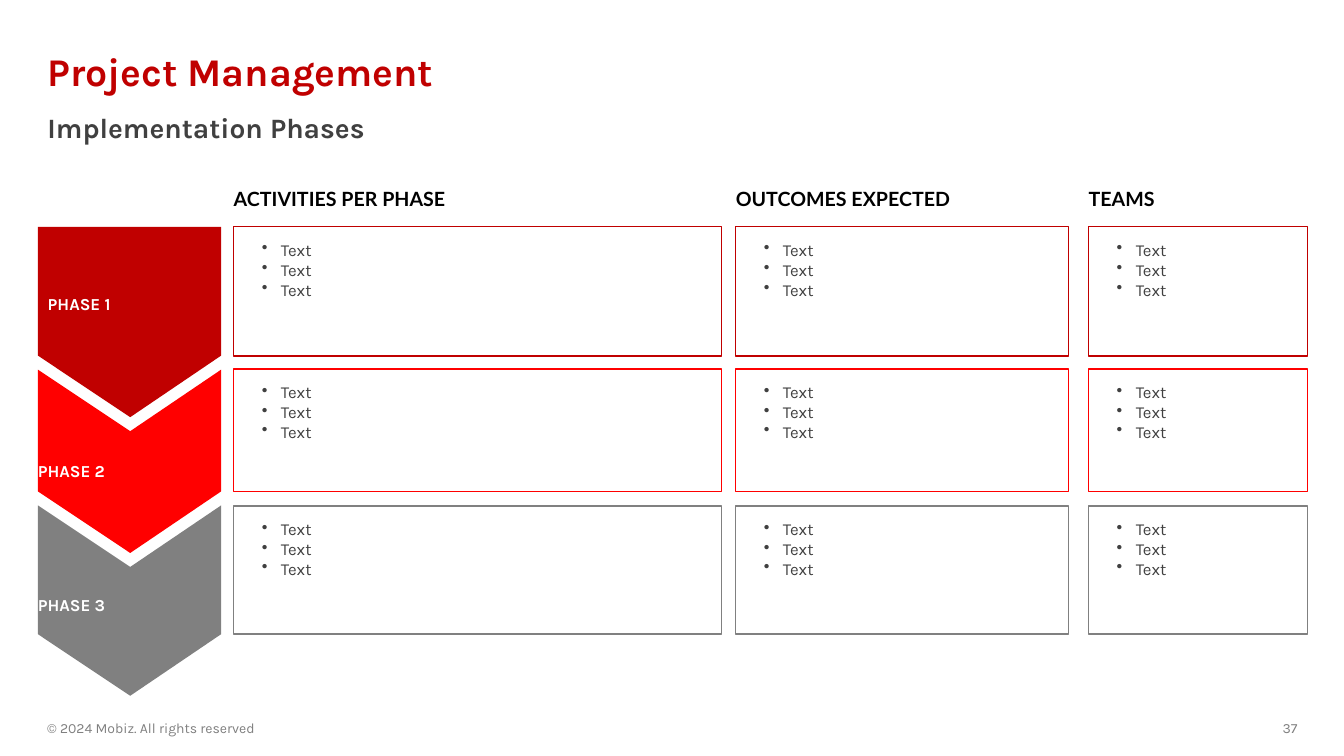
from lxml import etree
from pptx import Presentation
from pptx.dml.color import RGBColor
from pptx.enum.shapes import MSO_SHAPE
from pptx.enum.text import MSO_ANCHOR, MSO_AUTO_SIZE, PP_ALIGN
from pptx.oxml.ns import qn
from pptx.util import Pt

RECTANGLE = MSO_SHAPE.RECTANGLE
TOP, MIDDLE, BOTTOM = MSO_ANCHOR.TOP, MSO_ANCHOR.MIDDLE, MSO_ANCHOR.BOTTOM
LEFT, RIGHT = PP_ALIGN.LEFT, PP_ALIGN.RIGHT
NO_FIT = MSO_AUTO_SIZE.NONE

DARK_RED = RGBColor(0xC0, 0x00, 0x00)
RED = RGBColor(0xFF, 0x00, 0x00)
GRAY = RGBColor(0x80, 0x80, 0x80)
CHARCOAL = RGBColor(0x40, 0x40, 0x40)
BLACK = RGBColor(0x00, 0x00, 0x00)
WHITE = RGBColor(0xFF, 0xFF, 0xFF)

MARGIN = 26.64
CONTENT_WIDTH = 907.2
CHEVRON_WIDTH = 131.8
CHEVRON_DROP = 44
HEADING_TOP, HEADING_HEIGHT = 125.3, 31
DEFAULT_INSETS = (7.2, 3.6, 7.2, 3.6)

# Heading, left, width
COLUMNS = [
    ("ACTIVITIES PER PHASE", 167, 348.5),
    ("OUTCOMES EXPECTED", 525.6, 237.6),
    ("TEAMS", 777.6, 156.2),
]
# Label, colour, top, height, label insets
PHASES = [
    ("PHASE 1", DARK_RED, 162, 92.2, (7.2, 0, 0, 24)),
    ("PHASE 2", RED, 263.5, 87.8, (0, 16.5, 0, 0)),
    ("PHASE 3", GRAY, 361.4, 91.4, (0, 8.6, 0, 0)),
]
ACTIVITY_LINES = ["Text", "Text", "Text"]


def set_frame(frame, anchor, insets=DEFAULT_INSETS):
    frame.word_wrap = True
    frame.auto_size = NO_FIT
    frame.vertical_anchor = anchor
    (frame.margin_left, frame.margin_top,
     frame.margin_right, frame.margin_bottom) = map(Pt, insets)


def format_paragraph(para, size, color, bold=False, name="Karla",
                     align=LEFT, spacing=1.0):
    para.alignment = align
    para.line_spacing = spacing
    font = para.font
    font.name, font.size, font.bold = name, Pt(size), bold
    font.color.rgb = color


def set_bullet(para, char=None, indent=0.0):
    properties = para._p.get_or_add_pPr()
    properties.set("marL", str(Pt(indent)))
    properties.set("indent", str(-Pt(indent)))
    if char:
        etree.SubElement(properties, qn("a:buChar")).set("char", char)
    else:
        etree.SubElement(properties, qn("a:buNone"))


def place(shape, left, top, width, height):
    shape.left, shape.top = Pt(left), Pt(top)
    shape.width, shape.height = Pt(width), Pt(height)


def add_text(page, text, left, top, width, height, anchor, insets, **style):
    box = page.shapes.add_textbox(Pt(left), Pt(top), Pt(width), Pt(height))
    set_frame(box.text_frame, anchor, insets)
    para = box.text_frame.paragraphs[0]
    para.text = text
    format_paragraph(para, **style)


def add_header(page, left, top, width):
    title, subtitle = page.shapes.title, page.placeholders[1]
    place(title, left, top, width, 48.2)
    set_frame(title.text_frame, MIDDLE)
    title.text_frame.text = "Project Management"
    format_paragraph(title.text_frame.paragraphs[0], 28, DARK_RED, True, spacing=0.9)

    place(subtitle, left, top + 49, width, 33.8)
    set_frame(subtitle.text_frame, TOP)
    subtitle.text_frame.text = "Implementation Phases"
    para = subtitle.text_frame.paragraphs[0]
    set_bullet(para)
    para.space_before = Pt(0)
    format_paragraph(para, 20, CHARCOAL, True, spacing=0.9)


def add_chevron(page, label, color, left, top, width, height, notch, insets):
    middle, right, shoulder = left + width / 2, left + width, top + height
    builder = page.shapes.build_freeform(left, top, scale=Pt(1))
    outline = [(middle, top + notch), (right, top), (right, shoulder),
               (middle, shoulder + CHEVRON_DROP), (left, shoulder)]
    builder.add_line_segments(outline, close=True)
    chevron = builder.convert_to_shape()
    chevron.shadow.inherit = False
    chevron.fill.solid()
    chevron.fill.fore_color.rgb = color
    chevron.line.fill.background()
    set_frame(chevron.text_frame, MIDDLE, insets)
    para = chevron.text_frame.paragraphs[0]
    para.text = label
    format_paragraph(para, 12, WHITE, True, spacing=0.85)


def add_list_box(page, lines, color, left, top, width, height):
    box = page.shapes.add_shape(RECTANGLE, Pt(left), Pt(top), Pt(width), Pt(height))
    box.shadow.inherit = False
    box.fill.solid()
    box.fill.fore_color.rgb = WHITE
    box.line.color.rgb = color
    box.line.width = Pt(1)
    frame = box.text_frame
    set_frame(frame, TOP, (20, 11.5, 6, 6))
    for number, line in enumerate(lines):
        para = frame.add_paragraph() if number else frame.paragraphs[0]
        para.text = line
        set_bullet(para, "•", 13.7)
        para.space_before = Pt(1 if number else 0)
        para.space_after = Pt(1)
        format_paragraph(para, 12, CHARCOAL, spacing=0.85)


def add_phase_row(page, phase, notch):
    label, color, top, height, insets = phase
    add_chevron(page, label, color, MARGIN, top, CHEVRON_WIDTH, height, notch, insets)
    for _, left, width in COLUMNS:
        add_list_box(page, ACTIVITY_LINES, color, left, top, width, height)


def add_footer(page, left, top, width):
    number_width = 88
    add_text(page, "© 2024 Mobiz. All rights reserved", left, top, 324, 18,
             MIDDLE, DEFAULT_INSETS, size=10, color=GRAY)
    add_text(page, "37", left + width - number_width, top, number_width, 18,
             MIDDLE, DEFAULT_INSETS, size=10, color=GRAY, align=RIGHT)


def main():
    deck = Presentation()
    deck.slide_width, deck.slide_height = Pt(960), Pt(540)
    page = deck.slides.add_slide(deck.slide_layouts[1])

    # Title and subtitle
    add_header(page, MARGIN, 28.8, CONTENT_WIDTH)

    # Column headings
    for heading, left, width in COLUMNS:
        add_text(page, heading, left, HEADING_TOP, width, HEADING_HEIGHT, BOTTOM,
                 (0, 6, 6, 6), size=14, color=BLACK, bold=True, name="Lato")

    # Phase rows; only the first chevron has a flat top
    for number, phase in enumerate(PHASES):
        add_phase_row(page, phase, CHEVRON_DROP if number else 0)

    # Footer
    add_footer(page, MARGIN, 511.2, CONTENT_WIDTH)
    deck.save("out.pptx")


if __name__ == "__main__":
    main()
